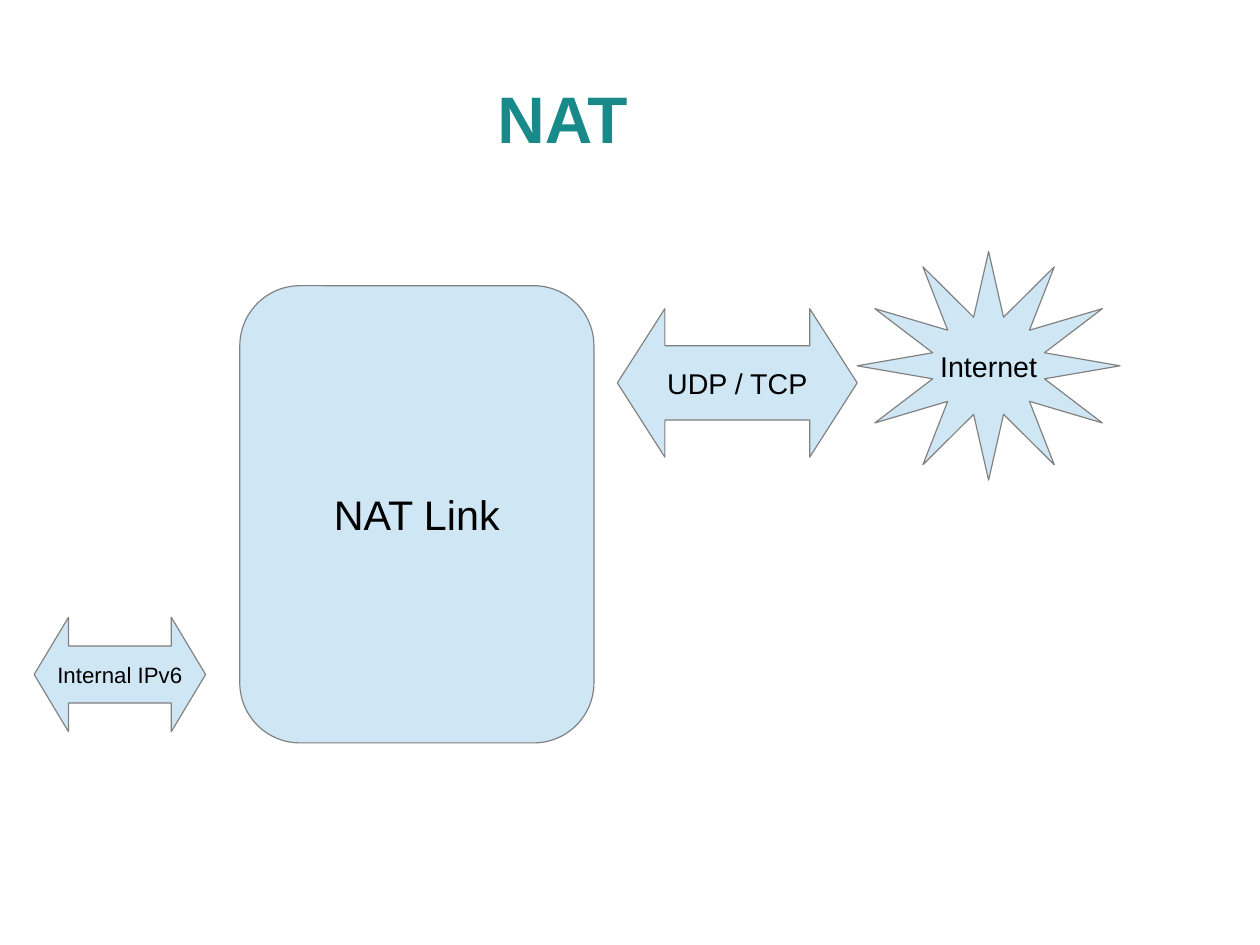
from pptx import Presentation
from pptx import util as u
from pptx.dml.color import RGBColor
from pptx.enum import shapes, text

TEAL = RGBColor(0x19, 0x8A, 0x8A)
PALE_BLUE = RGBColor(0xCF, 0xE7, 0xF5)
GRAY = RGBColor(0x80, 0x80, 0x80)
BLACK = RGBColor(0x00, 0x00, 0x00)
KIND = shapes.MSO_SHAPE


class Diagram:
    """Draws the network diagram on one slide in a single style."""

    font = "Arial"

    def __init__(self, slide):
        self.slide = slide

    def label(self, frame, words, size, color, bold=False):
        frame.vertical_anchor = text.MSO_ANCHOR.MIDDLE
        paragraph = frame.paragraphs[0]
        paragraph.alignment = text.PP_ALIGN.CENTER
        run = paragraph.add_run()
        run.text = words
        run.font.name = self.font
        run.font.size = u.Pt(size)
        run.font.bold = bold
        run.font.color.rgb = color

    def title(self, words, place):
        frame = self.slide.shapes.add_textbox(*map(u.Cm, place)).text_frame
        frame.word_wrap = True
        frame.margin_left = frame.margin_right = 0
        frame.margin_top = frame.margin_bottom = 0
        self.label(frame, words, 41.4, TEAL, bold=True)

    def node(self, kind, words, size, place, adjustments):
        node = self.slide.shapes.add_shape(kind, *map(u.Cm, place))
        for index, value in enumerate(adjustments):
            node.adjustments[index] = value
        node.shadow.inherit = False
        node.fill.solid()
        node.fill.fore_color.rgb = PALE_BLUE
        node.line.color.rgb = GRAY
        node.line.width = u.Pt(0)
        node.text_frame.word_wrap = False
        self.label(node.text_frame, words, size, BLACK)


def main():
    deck = Presentation()
    deck.slide_width, deck.slide_height = u.Cm(28), u.Cm(21)
    diagram = Diagram(deck.slides.add_slide(deck.slide_layouts[6]))

    diagram.title("NAT", (1, 0.85, 23, 3.5))
    diagram.node(KIND.ROUNDED_RECTANGLE, "NAT Link", 26,
                 (5.33, 6.35, 7.87, 10.16), [0.17])
    diagram.node(KIND.LEFT_RIGHT_ARROW, "Internal IPv6", 14,
                 (0.76, 13.72, 3.81, 2.54), [0.5, 0.3])
    diagram.node(KIND.LEFT_RIGHT_ARROW, "UDP / TCP", 18,
                 (13.72, 6.86, 5.33, 3.3), [0.5, 0.32])
    diagram.node(KIND.STAR_12_POINT, "Internet", 18,
                 (19.05, 5.59, 5.84, 5.08), [0.22])

    deck.save("out.pptx")


if __name__ == "__main__":
    main()
